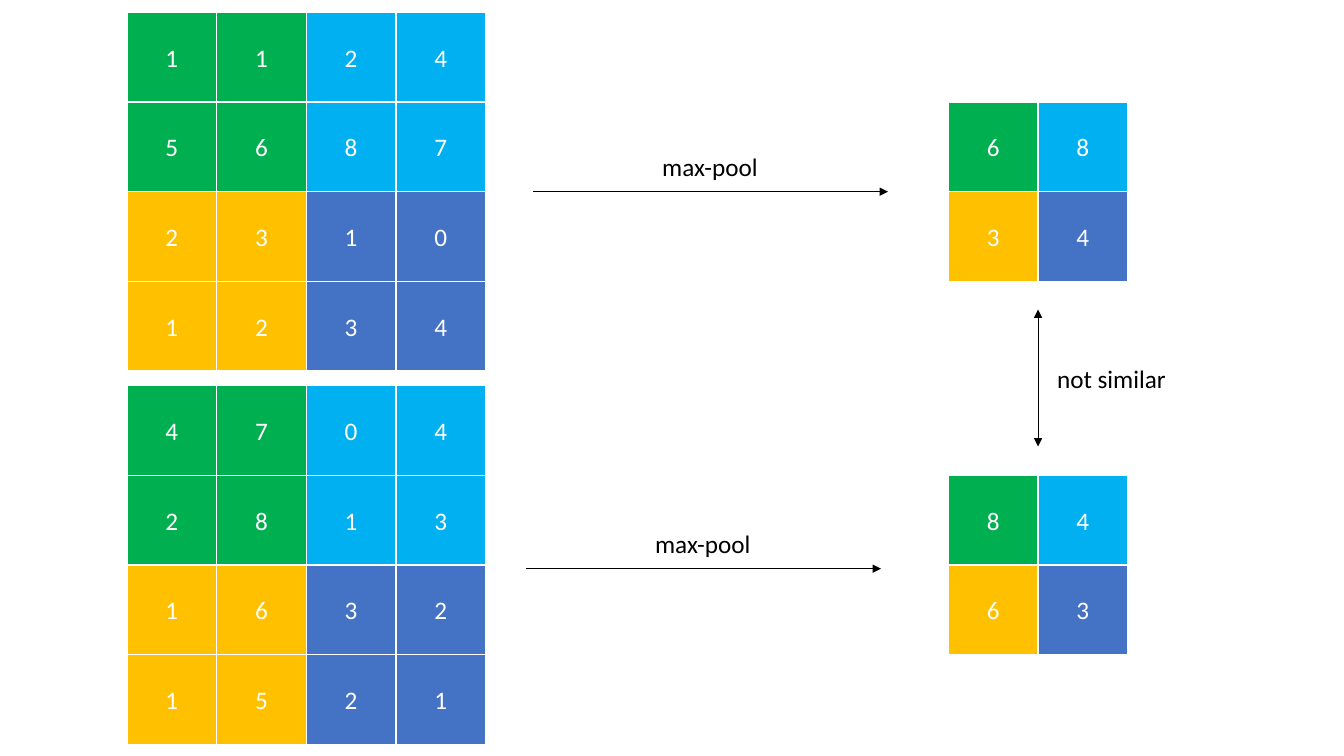
from pptx import Presentation
from pptx.dml.color import RGBColor as Rgb
from pptx.enum.shapes import MSO_CONNECTOR as Conn, MSO_SHAPE as Kind
from pptx.enum.text import MSO_ANCHOR as Anchor, PP_ALIGN as Align
from pptx.oxml.ns import qn
from pptx.util import Cm, Pt
from lxml.etree import SubElement as Sub

CELL = 2.26
TINTS = [["00B050", "00B0F0"], ["FFC000", "4472C4"]]
TOP = [[1, 1, 2, 4], [5, 6, 8, 7], [2, 3, 1, 0], [1, 2, 3, 4]]
LOW = [[4, 7, 0, 4], [2, 8, 1, 3], [1, 6, 3, 2], [1, 5, 2, 1]]


def paint(part, tone):
    part.rgb = Rgb.from_string(tone)


def write(shape, text, size=18, tone="000000", align=Align.LEFT,
          anchor=Anchor.TOP, wrap=False):
    frame = shape.text_frame
    frame.word_wrap = wrap
    frame.vertical_anchor = anchor
    para = frame.paragraphs[0]
    para.alignment = align
    run = para.add_run()
    run.text = text
    run.font.name = "Calibri"
    run.font.size = Pt(size)
    paint(run.font.color, tone)


def label(slide, text, left, top, width):
    box = slide.shapes.add_textbox(Cm(left), Cm(top), Cm(width), Cm(1.03))
    write(box, text)


def arrow(slide, x1, y1, x2, y2, ends=("tailEnd",)):
    line = slide.shapes.add_connector(
        Conn.STRAIGHT, Cm(x1), Cm(y1), Cm(x2), Cm(y2))
    line.line.width = Pt(0.5)
    paint(line.line.color, "000000")
    props = line._element.spPr
    for end in ends:
        Sub(props.find(qn("a:ln")), qn("a:" + end), type="triangle")
    Sub(props, qn("a:effectLst"))


def grid(slide, rows, left, top):
    """Draw square cells, tinted by the quadrant they lie in."""
    half = len(rows) // 2
    for i, row in enumerate(rows):
        for j, value in enumerate(row):
            cell = slide.shapes.add_shape(
                Kind.RECTANGLE, Cm(left + j * CELL), Cm(top + i * CELL),
                Cm(CELL), Cm(CELL))
            cell.shadow.inherit = False
            cell.fill.solid()
            paint(cell.fill.fore_color, TINTS[i // half][j // half])
            cell.line.width = Pt(1)
            paint(cell.line.color, "FFFFFF")
            write(cell, str(value), tone="FFFFFF", align=Align.CENTER,
                  anchor=Anchor.MIDDLE, wrap=True)


def pool(rows):
    """Take the maximum of each 2 by 2 block."""
    return [[max(rows[i][j:j + 2] + rows[i + 1][j:j + 2])
             for j in range(0, len(rows), 2)]
            for i in range(0, len(rows), 2)]


def stage(slide, rows, left, top, start, level):
    # Input grid and its pooled result
    grid(slide, rows, left, top)
    grid(slide, pool(rows), left + 20.7, top + CELL)
    # Arrow between them, with its label
    arrow(slide, start, level, start + 8.94, level)
    label(slide, "max-pool", start + 3, level - 1.13, 2.95)


def contrast(slide, left, top, height):
    arrow(slide, left, top, left, top + height, ("headEnd", "tailEnd"))
    label(slide, "not similar", left + 0.23, top + 1.22, 3.28)


def main():
    deck = Presentation()
    deck.slide_width, deck.slide_height = Cm(33.87), Cm(19.05)
    slide = deck.slides.add_slide(deck.slide_layouts[6])
    stage(slide, TOP, 3.2, 0.31, start=13.44, level=4.83)
    stage(slide, LOW, 3.2, 9.72, start=13.26, level=14.33)
    # Comparison of the two results
    contrast(slide, 26.16, 7.8, 3.45)
    deck.save("out.pptx")


if __name__ == "__main__":
    main()
